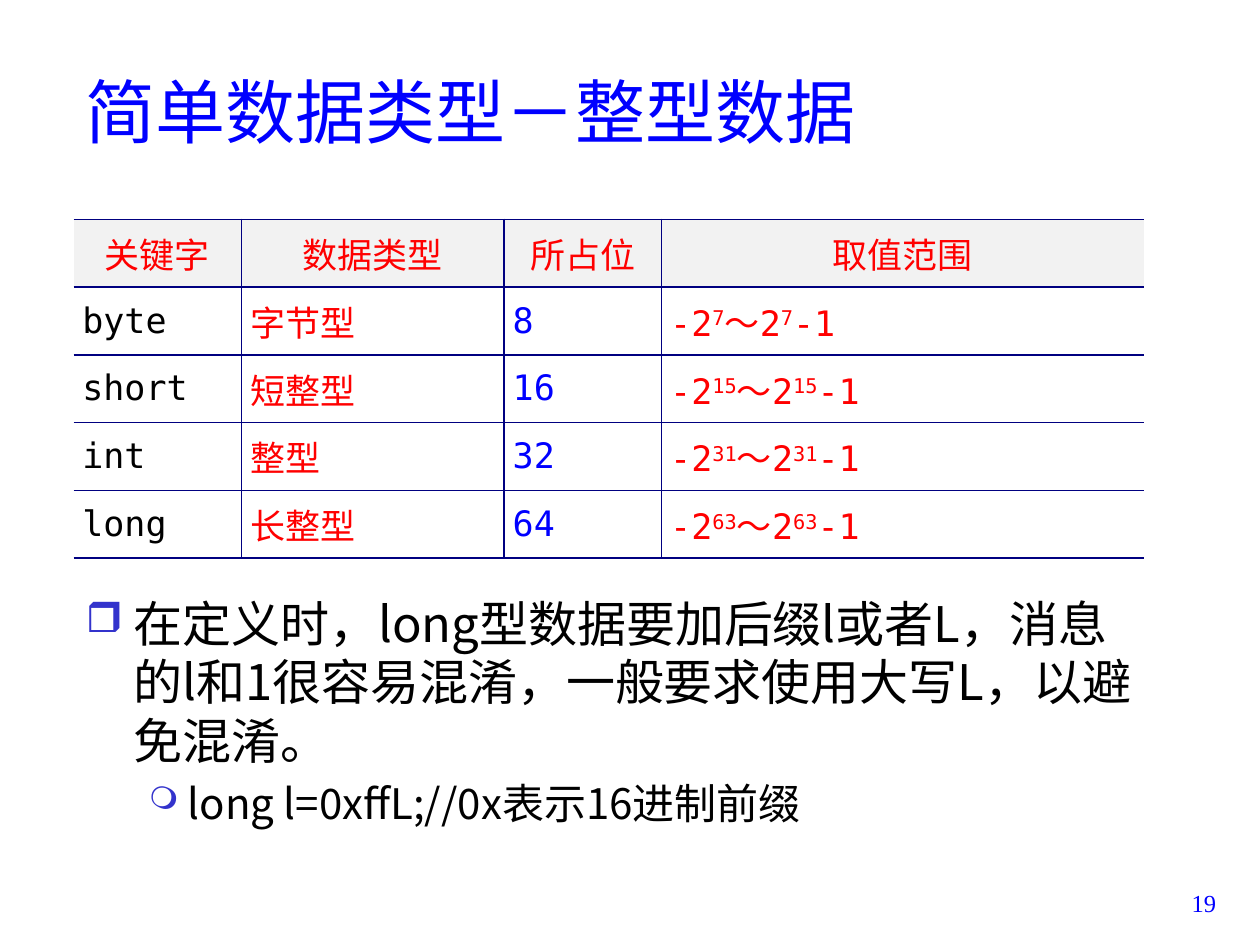
"""Build the slide on Java integer types: a table of ranges and a note on the L suffix."""
from dataclasses import dataclass

from lxml.etree import SubElement
from pptx import Presentation
from pptx.dml.color import RGBColor
from pptx.enum.text import MSO_ANCHOR as Anchor, PP_ALIGN as Align
from pptx.oxml.ns import qn
from pptx.util import Inches, Pt


@dataclass(frozen=True)
class Theme:
    blue: str = "0000FF"
    red: str = "FF0000"
    black: str = "000000"
    bullet: str = "3333CC"
    border: str = "000080"
    header: str = "F2F2F2"
    sans: str = "Noto Sans CJK SC"
    mono: str = "DejaVu Sans Mono"
    serif: str = "Times New Roman"
    title: int = 40
    body: int = 28
    detail: int = 24
    cell: int = 20
    number: int = 14


theme = Theme()
UNIT = Inches(1 / 12)  


def write(para, text, *, size, color, font=theme.sans, align=Align.LEFT, raised=False):
    para.alignment = align
    span = para.add_run()
    span.text = text
    span.font.size = Pt(size)
    span.font.name = font
    span.font.color.rgb = RGBColor.from_string(color)
    props = span.font._element
    SubElement(props, qn("a:ea"), typeface=theme.sans)
    if raised:
        props.set("baseline", "30000")


def add_box(page, left, top, width, height, anchor=Anchor.TOP):
    box = page.shapes.add_textbox(*(round(n * UNIT) for n in (left, top, width, height)))
    box.text_frame.word_wrap = True
    box.text_frame.vertical_anchor = anchor
    return box.text_frame


deck = Presentation()
deck.slide_width, deck.slide_height = 120 * UNIT, 90 * UNIT
page = deck.slides.add_slide(deck.slide_layouts[6])

LEFT, WIDTH = 7, 102
title = add_box(page, LEFT, 3, WIDTH, 15, Anchor.MIDDLE)
write(title.paragraphs[0], "简单数据类型－整型数据", size=theme.title, color=theme.blue)

headings = ["关键字", "数据类型", "所占位", "取值范围"]
types = [("byte", "字节型", 8), ("short", "短整型", 16), ("int", "整型", 32), ("long", "长整型", 64)]
columns = [16, 25, 15, 46]
ROW = 6.45
rows = [[[text] for text in headings]]
for keyword, name, bits in types:
    power = str(bits - 1)
    rows.append([[keyword], [name], [str(bits)], ["-2", power, "～2", power, "-1"]])

table = page.shapes.add_table(
    len(rows), len(columns), LEFT * UNIT, round(20.9 * UNIT), WIDTH * UNIT, round(ROW * len(rows) * UNIT)
).table
table.first_row = table.horz_banding = False
for column, width in zip(table.columns, columns):
    column.width = width * UNIT
for row in table.rows:
    row.height = round(ROW * UNIT)

column_colors = [theme.black, theme.red, theme.blue, theme.red]
for r, row in enumerate(rows):
    for c, parts in enumerate(row):
        cell = table.cell(r, c)
        cell.vertical_anchor = Anchor.MIDDLE
        cell.margin_left = cell.margin_right = Inches(0.07)
        cell.margin_top = cell.margin_bottom = 0
        for i, part in enumerate(parts):
            write(
                cell.text_frame.paragraphs[0], part, size=theme.cell, font=theme.mono,
                color=column_colors[c] if r else theme.red,
                align=Align.JUSTIFY if r else Align.CENTER, raised=i % 2 == 1,
            )
        cell_props = cell._tc.get_or_add_tcPr()
        sides = {"lnL": c > 0, "lnR": c < len(columns) - 1, "lnT": True, "lnB": True}
        for side, shown in sides.items():
            line = SubElement(cell_props, qn(f"a:{side}"), w=str(Pt(1)))
            if shown:
                SubElement(SubElement(line, qn("a:solidFill")), qn("a:srgbClr"), val=theme.border)
            else:
                SubElement(line, qn("a:noFill"))
        if r:
            cell.fill.background()
        else:
            cell.fill.solid()
            cell.fill.fore_color.rgb = RGBColor.from_string(theme.header)

notes = [
    ("在定义时，long型数据要加后缀l或者L，消息的l和1很容易混淆，一般要求使用大写L，以避免混淆。",
     theme.body, "❒", 85, 0.38, 0.38, 2),
    ("long l=0xffL;//0x表示16进制前缀", theme.detail, "❍", 75, 0.81, 0.31, 5),
]
body = add_box(page, LEFT, 56, WIDTH, 26)
for level, (text, size, mark, scale, indent, hanging, gap) in enumerate(notes):
    para = body.add_paragraph() if level else body.paragraphs[0]
    para.level = level
    para.line_spacing = Pt(round(size * 1.19, 1))
    para.space_before = Pt(gap)
    write(para, text, size=size, color=theme.black)
    para_props = para._p.get_or_add_pPr()
    para_props.set("marL", str(Inches(indent)))
    para_props.set("indent", str(-Inches(hanging)))
    SubElement(SubElement(para_props, qn("a:buClr")), qn("a:srgbClr"), val=theme.bullet)
    SubElement(para_props, qn("a:buSzPct"), val=str(scale * 1000))
    SubElement(para_props, qn("a:buChar"), char=mark)

number = add_box(page, 109, 84, 8, 6)
write(number.paragraphs[0], "19", size=theme.number, color=theme.blue, font=theme.serif, align=Align.RIGHT)

deck.save("out.pptx")
